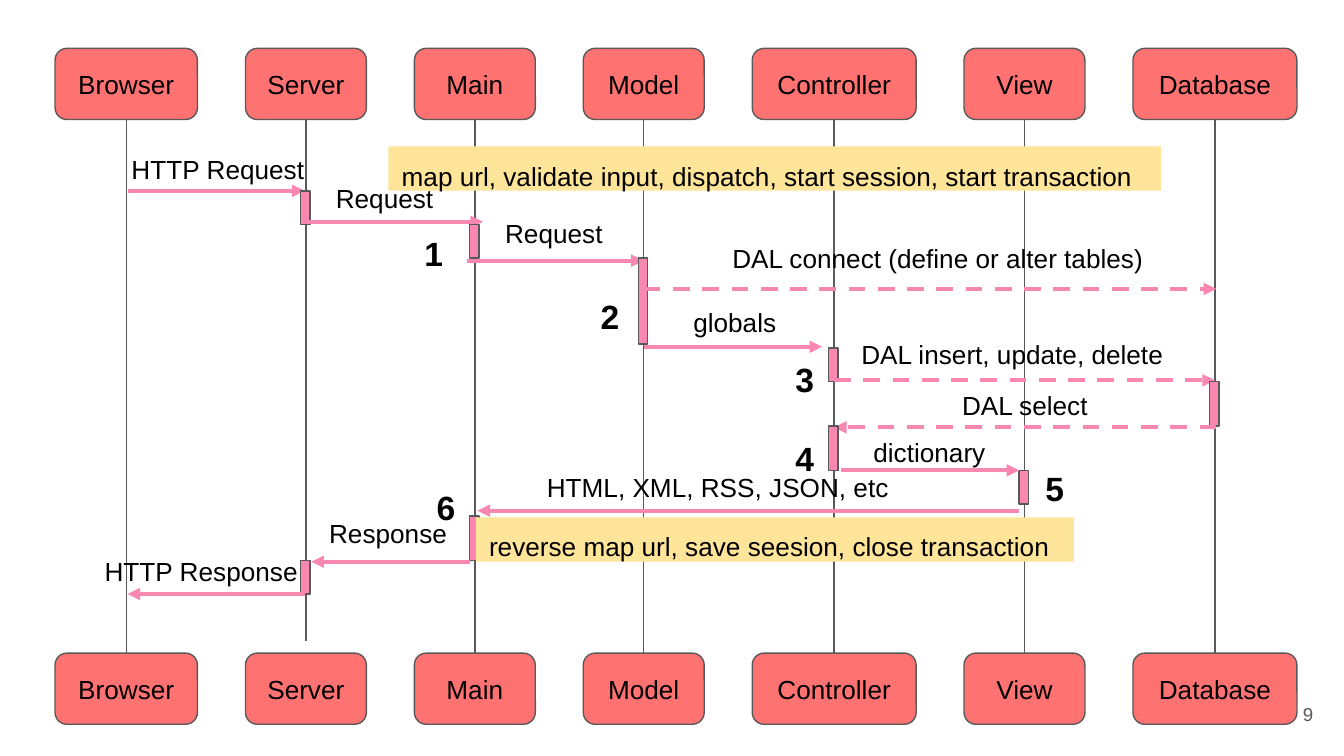
import pptx
import pptx.util
import pptx.dml.color
import pptx.enum.dml
import pptx.enum.shapes
import pptx.enum.text
import pptx.oxml
import pptx.oxml.ns

COLORS = {"box": "FF7272", "edge": "595959", "pink": "F987B0",
          "note": "FFE599", "text": "000000"}
ALIGN = pptx.enum.text.PP_ALIGN
SHAPE = pptx.enum.shapes.MSO_SHAPE
inch = pptx.util.Inches

# Participants share one row, with equal gaps between the two margins
LEFT, RIGHT = 0.41, 9.65
TOP_Y, BOTTOM_Y, BOX_H = 0.36, 4.86, 0.53
WIDTHS = {"Browser": 1.06, "Server": 0.9, "Main": 0.9, "Model": 0.9,
          "Controller": 1.22, "View": 0.9, "Database": 1.22}
GAP = (RIGHT - LEFT - sum(WIDTHS.values())) / (len(WIDTHS) - 1)
LANES = {}
edge = LEFT
for lane_name, lane_width in WIDTHS.items():
    LANES[lane_name] = edge + lane_width / 2
    edge += lane_width + GAP


def rgb(name):
    return pptx.dml.color.RGBColor.from_string(COLORS[name])


def write(sp, text, size=14, color="text", bold=False, align=ALIGN.LEFT, middle=False):
    tf = sp.text_frame
    tf.word_wrap = True
    tf.margin_left = tf.margin_right = tf.margin_top = tf.margin_bottom = inch(0.1)
    anchor = pptx.enum.text.MSO_ANCHOR
    tf.vertical_anchor = anchor.MIDDLE if middle else anchor.TOP
    p = tf.paragraphs[0]
    p.alignment = align
    r = p.add_run()
    r.text = text
    r.font.name = "Arial"
    r.font.size = pptx.util.Pt(size)
    r.font.bold = bold
    r.font.color.rgb = rgb(color)


def block(s, kind, x, y, w, h, fill, outlined=True):
    sp = s.shapes.add_shape(kind, inch(x), inch(y), inch(w), inch(h))
    sp.shadow.inherit = False
    sp.fill.solid()
    sp.fill.fore_color.rgb = rgb(fill)
    if outlined:
        sp.line.color.rgb = rgb("edge")
        sp.line.width = pptx.util.Pt(0.75)
    else:
        sp.line.fill.background()
    return sp


def label(s, x, y, w, h, text, **style):
    write(s.shapes.add_textbox(inch(x), inch(y), inch(w), inch(h)), text, **style)


def line(s, x1, y1, x2, y2, color, width):
    straight = pptx.enum.shapes.MSO_CONNECTOR.STRAIGHT
    cn = s.shapes.add_connector(straight, inch(x1), inch(y1), inch(x2), inch(y2))
    cn.line.color.rgb = rgb(color)
    cn.line.width = pptx.util.Pt(width)
    cn._element.spPr.append(pptx.oxml.parse_xml(
        "<a:effectLst %s/>" % pptx.oxml.ns.nsdecls("a")))
    return cn


def participant(s, name, y):
    w = WIDTHS[name]
    sp = block(s, SHAPE.ROUNDED_RECTANGLE, LANES[name] - w / 2, y, w, BOX_H, "box")
    write(sp, name, align=ALIGN.CENTER, middle=True)
    return sp


def lifeline(s, name, upper, lower):
    x = LANES[name]
    if name == "Server":  # this one stops short of its lower box
        cn = line(s, x, TOP_Y + BOX_H, x, 4.77, "edge", 0.75)
    else:
        cn = line(s, x, TOP_Y + BOX_H, x, BOTTOM_Y, "edge", 0.75)
        cn.end_connect(lower, 0)
    cn.begin_connect(upper, 2)


def bar(s, lane, y, h=0.25):
    block(s, SHAPE.RECTANGLE, LANES[lane] - 0.04, y, 0.07, h, "pink")


def note(s, x, y, w, text):
    write(block(s, SHAPE.RECTANGLE, x, y, w, 0.33, "note", outlined=False), text)


def message(s, start, end, y, text, x, text_y, w, shift=(0, 0), dashed=False):
    """Arrow between two lanes, each end shifted sideways, with its label."""
    cn = line(s, LANES[start] + shift[0], y, LANES[end] + shift[1], y, "pink", 2.25)
    if dashed:
        cn.line.dash_style = pptx.enum.dml.MSO_LINE.DASH
    cn.line._get_or_add_ln().append(pptx.oxml.parse_xml(
        '<a:tailEnd %s type="triangle"/>' % pptx.oxml.ns.nsdecls("a")))
    label(s, x, text_y, w, 0.31, text)


def main():
    prs = pptx.Presentation()
    prs.slide_width = inch(10)
    prs.slide_height = prs.slide_width * 9 // 16
    s = prs.slides.add_slide(prs.slide_layouts[6])

    # Participants and lifelines
    uppers = {name: participant(s, name, TOP_Y) for name in WIDTHS}
    lowers = {name: participant(s, name, BOTTOM_Y) for name in WIDTHS}
    for name in WIDTHS:
        lifeline(s, name, uppers[name], lowers[name])

    # Request on its way in
    message(s, "Browser", "Server", 1.42, "HTTP Request", 0.88, 1.04, 1.72, (0.01, -0.01))
    bar(s, "Server", 1.42)
    message(s, "Server", "Main", 1.65, "Request", 2.4, 1.26, 0.99, (0.01, 0.06))
    bar(s, "Main", 1.67)
    message(s, "Main", "Model", 1.94, "Request", 3.66, 1.52, 0.99, (-0.06, 0))
    note(s, 2.89, 1.09, 5.75,
         "map url, validate input, dispatch, start session, start transaction")

    # Model, controller and database
    bar(s, "Model", 1.92, 0.64)
    message(s, "Model", "Database", 2.15, "DAL connect (define or alter tables)",
            5.35, 1.7, 3.45, (0, 0.01), dashed=True)
    bar(s, "Controller", 2.59)
    message(s, "Model", "Controller", 2.58, "globals", 5.06, 2.18, 0.99, (0, -0.09))
    message(s, "Controller", "Database", 2.83, "DAL insert, update, delete",
            6.31, 2.42, 3.45, dashed=True)
    bar(s, "Database", 2.84, 0.33)
    message(s, "Database", "Controller", 3.18, "DAL select", 7.06, 2.8, 1.5,
            (0.01, 0), dashed=True)
    bar(s, "Controller", 3.17, 0.33)

    # Response on its way out
    bar(s, "View", 3.5)
    message(s, "Controller", "View", 3.5, "dictionary", 6.4, 3.15, 1.5, (0.05, -0.04))
    message(s, "View", "Main", 3.8, "HTML, XML, RSS, JSON, etc", 3.97, 3.41, 3.45,
            (-0.04, 0.02))
    bar(s, "Main", 3.84, 0.33)
    note(s, 3.54, 3.85, 4.45, "reverse map url, save seesion, close transaction")
    message(s, "Main", "Server", 4.18, "Response", 2.35, 3.75, 1.18, (-0.04, 0.04))
    bar(s, "Server", 4.17)
    message(s, "Server", "Browser", 4.42, "HTTP Response", 0.68, 4.03, 1.72, (-0.01, 0.01))

    # Step numbers
    steps = [(3.06, 1.63), (4.37, 2.1), (5.82, 2.57), (5.82, 3.16), (7.68, 3.38), (3.15, 3.52)]
    for number, (x, y) in enumerate(steps, 1):
        label(s, x, y, 0.39, 0.48, str(number), size=18, bold=True)

    # Page number
    label(s, 9.27, 5.1, 0.6, 0.43, "9", size=10, color="edge", align=ALIGN.RIGHT, middle=True)

    prs.save("out.pptx")


if __name__ == "__main__":
    main()
